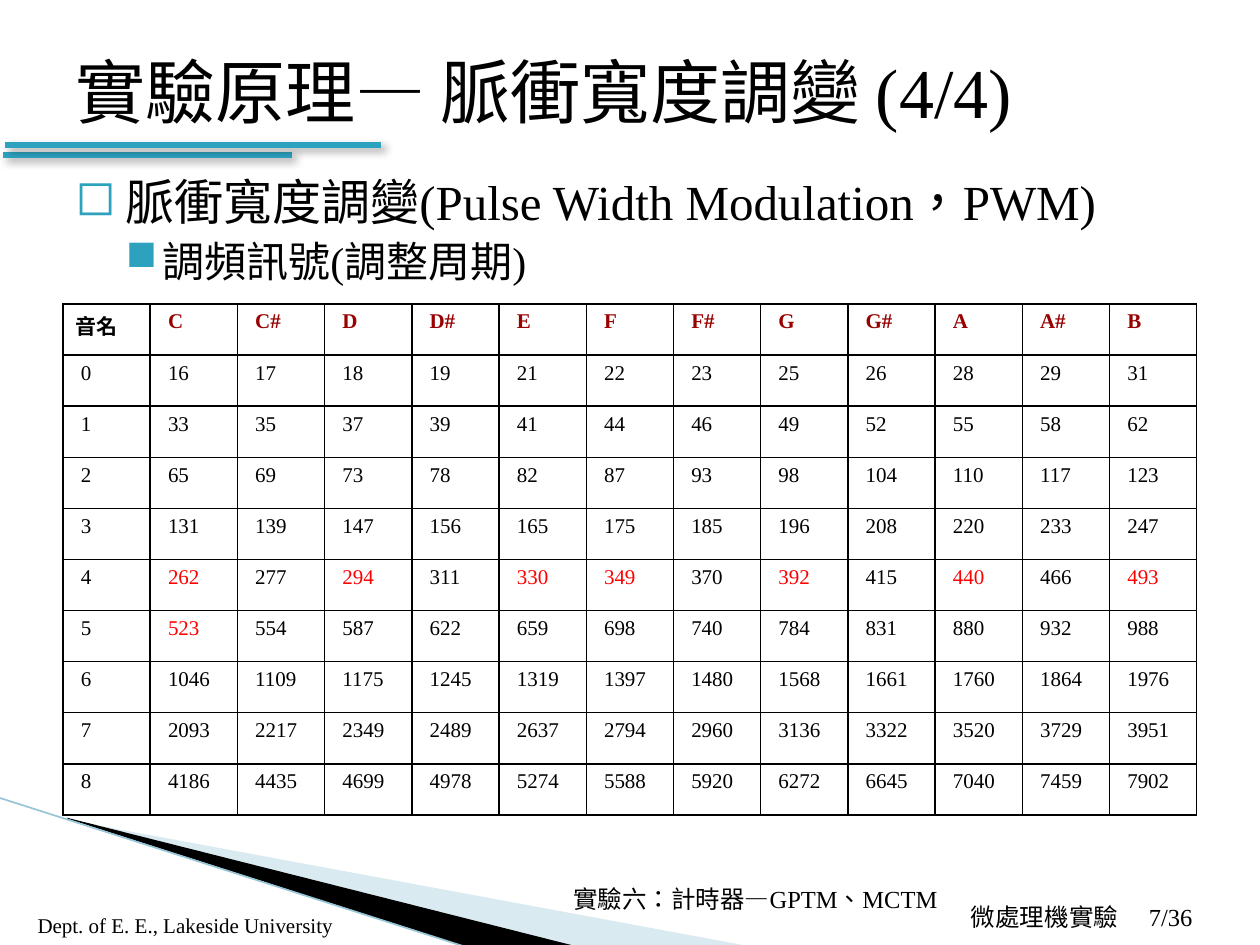
from lxml import etree
from pptx import Presentation
from pptx.dml.color import RGBColor
from pptx.enum.lang import MSO_LANGUAGE_ID
from pptx.enum.shapes import MSO_CONNECTOR
from pptx.enum.text import MSO_ANCHOR, MSO_AUTO_SIZE, PP_ALIGN
from pptx.oxml.ns import qn
from pptx.util import Pt

STRAIGHT = MSO_CONNECTOR.STRAIGHT
TOP, MIDDLE = MSO_ANCHOR.TOP, MSO_ANCHOR.MIDDLE
CENTER = PP_ALIGN.CENTER
GROW = MSO_AUTO_SIZE.SHAPE_TO_FIT_TEXT
CHINESE = MSO_LANGUAGE_ID.TRADITIONAL_CHINESE

SERIF, SANS = "Times New Roman", "Noto Sans CJK SC"
BLACK, WHITE, TEAL, RED, MAROON = "000000", "FFFFFF", "2DA2BF", "FF0000", "990000"

NOTES = ["C", "C#", "D", "D#", "E", "F", "F#", "G", "G#", "A", "A#", "B"]
FREQUENCIES = [
    [16, 17, 18, 19, 21, 22, 23, 25, 26, 28, 29, 31],
    [33, 35, 37, 39, 41, 44, 46, 49, 52, 55, 58, 62],
    [65, 69, 73, 78, 82, 87, 93, 98, 104, 110, 117, 123],
    [131, 139, 147, 156, 165, 175, 185, 196, 208, 220, 233, 247],
    [262, 277, 294, 311, 330, 349, 370, 392, 415, 440, 466, 493],
    [523, 554, 587, 622, 659, 698, 740, 784, 831, 880, 932, 988],
    [1046, 1109, 1175, 1245, 1319, 1397, 1480, 1568, 1661, 1760, 1864, 1976],
    [2093, 2217, 2349, 2489, 2637, 2794, 2960, 3136, 3322, 3520, 3729, 3951],
    [4186, 4435, 4699, 4978, 5274, 5588, 5920, 6272, 6645, 7040, 7459, 7902],
]


def rgb(color):
    return RGBColor.from_string(color)


def add_xml(parent, tag, **attrs):
    return etree.SubElement(parent, qn(tag), attrs)


def set_text(p, text, size, color=BLACK, font=SERIF, bold=False):
    p.add_run().text = text
    p.font.size, p.font.name, p.font.bold = Pt(size), font, bold
    p.font.color.rgb = rgb(color)
    p.font.language_id = CHINESE


def add_box(slide, x, y, w, h, anchor=TOP, wrap=True):
    tf = slide.shapes.add_textbox(Pt(x), Pt(y), Pt(w), Pt(h)).text_frame
    tf.word_wrap, tf.vertical_anchor = wrap, anchor
    return tf


def add_footer(slide, box, text, size, anchor=TOP, wrap=True, font=SERIF):
    tf = add_box(slide, *box, anchor, wrap)
    tf.auto_size = GROW
    set_text(tf.paragraphs[0], text, size, font=font)
    return tf.paragraphs[0]


def set_bullet(p, char, left, hanging):
    pPr = p._p.get_or_add_pPr()
    pPr.set("marL", str(Pt(left)))
    pPr.set("indent", str(-Pt(hanging)))
    color = etree.Element(qn("a:buClr"))
    add_xml(color, "a:srgbClr", val=TEAL)
    bullet = etree.Element(qn("a:buChar"), char=char)
    # Bullet settings come before the default run properties
    run_defaults = pPr.find(qn("a:defRPr"))
    run_defaults.addprevious(color)
    run_defaults.addprevious(bullet)


def add_line(slide, start, end, color, width, shadow=False):
    line = slide.shapes.add_connector(STRAIGHT, *map(Pt, start + end))
    line.line.color.rgb, line.line.width = rgb(color), Pt(width)
    effects = add_xml(line._element.spPr, "a:effectLst")
    if shadow:
        outer = add_xml(effects, "a:outerShdw", blurRad=str(Pt(5)),
                        dist=str(Pt(3)), dir="2700000", algn="tl", rotWithShape="0")
        add_xml(add_xml(outer, "a:srgbClr", val=BLACK), "a:alpha", val="40000")


def add_wedge(slide, points, color, alpha=100):
    start, *rest = [(Pt(x), Pt(y)) for x, y in points]
    builder = slide.shapes.build_freeform(*start, scale=1.0)
    builder.add_line_segments(rest, close=True)
    sp = builder.convert_to_shape()
    sp.shadow.inherit = False
    sp.fill.solid()
    sp.fill.fore_color.rgb = rgb(color)
    sp.line.fill.background()
    if alpha < 100:
        fill = sp._element.spPr.find(qn("a:solidFill"))
        add_xml(fill[0], "a:alpha", val=str(alpha * 1000))


def set_cell(cell, text, color, bold, margin):
    cell.margin_left = Pt(margin)
    set_text(cell.text_frame.paragraphs[0], text, 12, color, bold=bold)
    tcPr = cell._tc.get_or_add_tcPr()
    for side in ("a:lnL", "a:lnR", "a:lnT", "a:lnB"):
        border = add_xml(tcPr, side, w=str(Pt(1)))
        add_xml(add_xml(border, "a:solidFill"), "a:srgbClr", val=BLACK)
    cell.fill.solid()
    cell.fill.fore_color.rgb = rgb(WHITE)


def text_color(octave, note):
    in_scale = octave == 4 and "#" not in note
    return RED if in_scale or (octave, note) == (5, "C") else BLACK


def add_note_table(slide):
    rows, cols = len(FREQUENCIES) + 1, len(NOTES) + 1
    table = slide.shapes.add_table(rows, cols, Pt(36), Pt(173.7), Pt(648), Pt(292)).table
    table.first_row = table.horz_banding = False
    for col in table.columns:
        col.width = Pt(648 / cols)
    for row in table.rows:
        row.height = Pt(29.2)
    set_cell(table.cell(0, 0), "音名", BLACK, True, 7.2)
    for c, note in enumerate(NOTES, 1):
        set_cell(table.cell(0, c), note, MAROON, True, 10.2)
    for octave, values in enumerate(FREQUENCIES):
        set_cell(table.cell(octave + 1, 0), str(octave), BLACK, False, 10.2)
        for c, (note, value) in enumerate(zip(NOTES, values), 1):
            set_cell(table.cell(octave + 1, c), str(value),
                     text_color(octave, note), False, 10.2)


def add_decoration(slide):
    add_line(slide, (2, 88.6), (167, 88.6), TEAL, 3, shadow=True)
    add_line(slide, (3, 82.8), (218, 82.8), TEAL, 3, shadow=True)
    add_wedge(slide, [(39.6, 468.7), (428.4, 540.7), (328.3, 540.7), (39.6, 468)],
              "A0CBDC", alpha=40)
    add_wedge(slide, [(38.2, 467.3), (329, 540.7), (267.8, 541.4), (38.9, 468)], BLACK)
    add_line(slide, (-0.7, 455.8), (267.1, 541.4), "97C5D8", 0.95)


def add_footers(slide):
    add_footer(slide, (649.4, 511.9, 60.5, 23.8), "7/36", 14, MIDDLE)
    add_footer(slide, (14.4, 517.7, 187.2, 21.6),
               "Dept. of E. E., Lakeside University", 12, MIDDLE)
    p = add_footer(slide, (320.4, 501.8, 232.6, 24.5), "實驗六：計時器—GPTM、MCTM", 14)
    p.space_before = Pt(2.8)
    p = add_footer(slide, (547.2, 511.9, 99.4, 24.5), "微處理機實驗", 14,
                   wrap=False, font=SANS)
    p.alignment = CENTER


def add_body(slide):
    tf = add_box(slide, 36, 94.3, 648, 378.7)
    p = tf.paragraphs[0]
    set_text(p, "脈衝寬度調變(Pulse Width Modulation，PWM)", 28)
    p.space_before = Pt(4)
    set_bullet(p, "◻", 28.8, 28.8)
    p = tf.add_paragraph()
    p.level = 1
    set_text(p, "調頻訊號(調整周期)", 24)
    p.space_before = Pt(3.2)
    set_bullet(p, "■", 49.7, 20.9)


def main():
    prs = Presentation()
    prs.slide_width, prs.slide_height = Pt(720), Pt(540)
    slide = prs.slides.add_slide(prs.slide_layouts[6])
    add_decoration(slide)
    add_footers(slide)
    add_body(slide)
    # Title
    tf = add_box(slide, 36, 15.1, 648, 72.7, MIDDLE)
    set_text(tf.paragraphs[0], "實驗原理— 脈衝寬度調變 (4/4)", 40)
    add_note_table(slide)
    prs.save("out.pptx")


if __name__ == "__main__":
    main()
